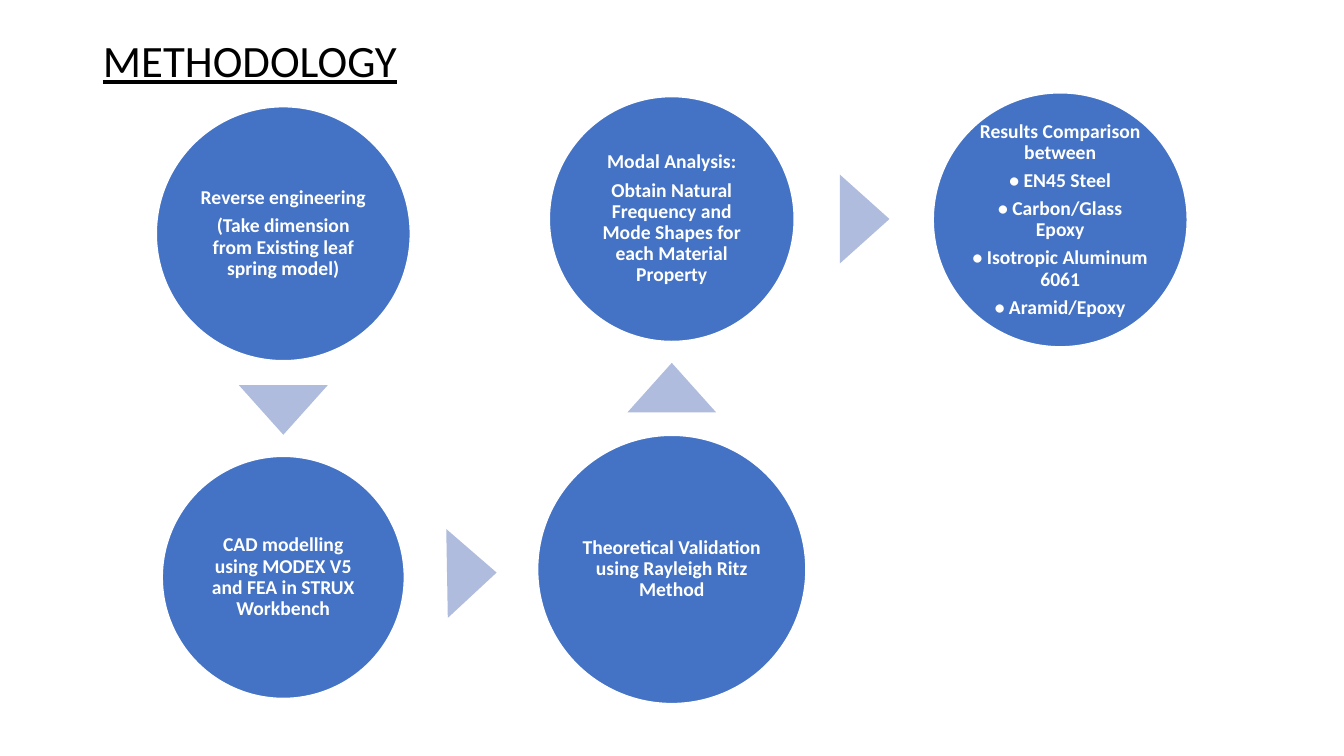
from pptx import Presentation
from pptx.dml.color import RGBColor
from pptx.enum.shapes import MSO_SHAPE as Preset
from pptx.enum.text import MSO_ANCHOR as Anchor, MSO_AUTO_SIZE as AutoSize, PP_ALIGN as Align
from pptx.util import Cm, Pt

BLUE = RGBColor(0x44, 0x72, 0xC4)
PALE_BLUE = RGBColor(0xB0, 0xBC, 0xDE)
WHITE = RGBColor(0xFF, 0xFF, 0xFF)
BLACK = RGBColor(0x00, 0x00, 0x00)
FONT = "Calibri"

# Column centres of the flow, in cm
COLUMNS = [7.14 + 9.79 * index for index in range(3)]

# Steps: centre x, centre y, diameter (cm), paragraphs
STEPS = [
    (COLUMNS[0], 5.89, 6.4, ["Reverse engineering",
                             "(Take dimension from Existing leaf spring model)"]),
    (COLUMNS[0], 14.55, 6.1, ["CAD modelling using MODEX V5 and FEA in STRUX Workbench"]),
    (COLUMNS[1], 14.35, 6.76, ["Theoretical Validation using Rayleigh Ritz Method"]),
    (COLUMNS[1], 5.52, 6.17, ["Modal Analysis:",
                              "Obtain Natural Frequency and Mode Shapes for each Material Property"]),
    (COLUMNS[2], 5.54, 6.4, ["Results Comparison between", "• EN45 Steel",
                             "• Carbon/Glass Epoxy", "• Isotropic Aluminum 6061",
                             "• Aramid/Epoxy"]),
]

# Arrows between steps: centre x, centre y (cm), rotation
ARROWS = [
    (COLUMNS[0], 10.33, 180),
    (11.89, 14.44, 89),
    (COLUMNS[1], 9.77, 0),
    (21.79, 5.52, 90),
]


def set_title(page, text):
    title = page.shapes.title
    title.left, title.top, title.width, title.height = Cm(2.34), Cm(0.69), Cm(10.03), Cm(1.63)
    frame = title.text_frame
    frame.text = text
    frame.vertical_anchor = Anchor.TOP
    frame.auto_size = AutoSize.NONE
    para = frame.paragraphs[0]
    para.alignment = Align.LEFT
    font = para.runs[0].font
    font.name, font.size, font.underline = FONT, Pt(32), True
    font.color.rgb = BLACK


def add_centred(page, preset, x, y, width, height, colour):
    shape = page.shapes.add_shape(preset, Cm(x - width / 2), Cm(y - height / 2),
                                  Cm(width), Cm(height))
    shape.shadow.inherit = False
    shape.fill.solid()
    shape.fill.fore_color.rgb = colour
    return shape


def add_step(page, x, y, diameter, lines):
    circle = add_centred(page, Preset.OVAL, x, y, diameter, diameter, BLUE)
    circle.line.color.rgb = WHITE
    circle.line.width = Pt(1)
    frame = circle.text_frame
    frame.word_wrap = True
    frame.vertical_anchor = Anchor.MIDDLE
    frame.margin_left = frame.margin_right = Cm(0.05)
    frame.margin_top = frame.margin_bottom = Cm(0.05)
    frame.text = "\n".join(lines)
    for para in frame.paragraphs:
        para.alignment = Align.CENTER
        para.line_spacing = 0.9
        para.space_after = Pt(5)
        font = para.runs[0].font
        font.name, font.size, font.bold = FONT, Pt(14), True
        font.color.rgb = WHITE


def add_arrow(page, x, y, rotation):
    arrow = add_centred(page, Preset.ISOSCELES_TRIANGLE, x, y, 2.24, 1.25, PALE_BLUE)
    arrow.line.fill.background()
    arrow.rotation = rotation


def main():
    deck = Presentation()
    deck.slide_width, deck.slide_height = Cm(33.87), Cm(19.05)
    page = deck.slides.add_slide(deck.slide_layouts.get_by_name("Title Only"))

    set_title(page, "METHODOLOGY")
    for step in STEPS:
        add_step(page, *step)
    for arrow in ARROWS:
        add_arrow(page, *arrow)

    deck.save("out.pptx")


if __name__ == "__main__":
    main()
